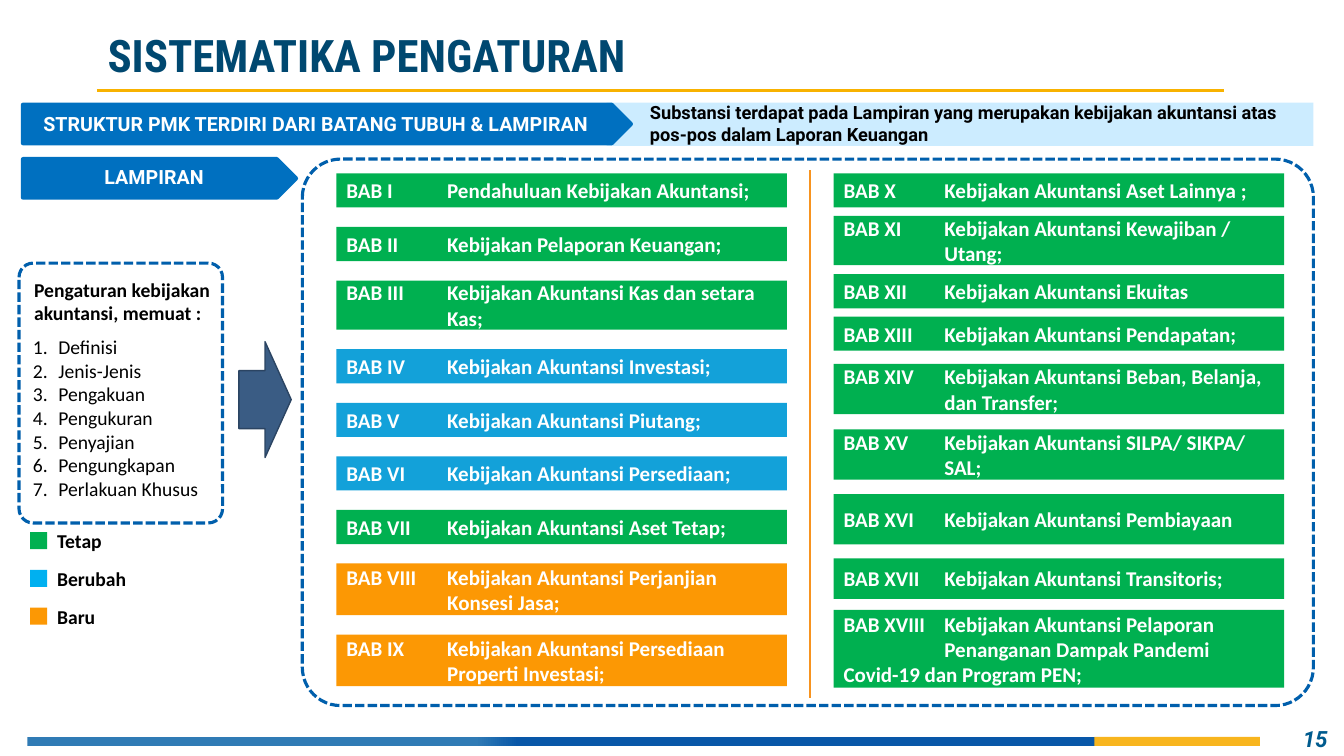
"""Build the slide on how the regulation is set out."""
from dataclasses import dataclass, replace

from lxml.etree import SubElement
from pptx import Presentation
from pptx.dml.color import RGBColor
from pptx.enum.dml import MSO_LINE
from pptx.enum.shapes import MSO_CONNECTOR, MSO_SHAPE
from pptx.enum.text import MSO_ANCHOR, MSO_AUTO_SIZE, PP_ALIGN
from pptx.oxml.ns import qn
from pptx.shapes.autoshape import Shape
from pptx.slide import Slide
from pptx.text.text import TextFrame
from pptx.util import Cm, Pt

HUES = {
    "green": "00B050", "blue": "13A1D9", "orange": "FC9804", "sky": "00B0F0",
    "white": "FFFFFF", "black": "000000", "title": "004870", "number": "005B8E",
    "pale": "CCECFF", "banner": "0070C0", "dash": "005FAC", "rule": "F8B200",
    "split": "F7931F", "arrow": "3A5C84", "edge": "2B4462",
    "start": "307BB5", "end": "0857A8", "gold": "F8B51E",
}


@dataclass(frozen=True)
class Box:
    """Place and size in centimetres."""
    left: float
    top: float
    width: float
    height: float


@dataclass(frozen=True)
class Style:
    """Look of a text."""
    size: float
    font: str = "Calibri"
    hue: str = "black"
    bold: bool = True
    slant: bool = False
    align: PP_ALIGN = PP_ALIGN.LEFT


@dataclass(frozen=True)
class Bar:
    """One chapter, with its height and the gap above it."""
    text: str
    height: float = 0.86
    gap: float = 0.49
    hue: str = "green"


@dataclass(frozen=True)
class Banner:
    """A pointed heading and the box of its text."""
    box: Box
    text: str
    label: Box


@dataclass(frozen=True)
class Rule:
    """A straight line in centimetres."""
    left: float
    top: float
    right: float
    bottom: float
    hue: str
    weight: float


CHAPTER = Style(15, hue="white")
LABEL = Style(14)
HEADING = Style(14, "Roboto", "white", align=PP_ALIGN.CENTER)
TOP = 4.37
BAR_WIDTH = 11.35
COLUMNS = {
    8.48: [
        Bar("BAB I\tPendahuluan Kebijakan Akuntansi;", gap=0),
        Bar("BAB II\tKebijakan Pelaporan Keuangan;"),
        Bar("BAB III\tKebijakan Akuntansi Kas dan setara\n\tKas;", 1.24),
        Bar("BAB IV\tKebijakan Akuntansi Investasi;", hue="blue"),
        Bar("BAB V\tKebijakan Akuntansi Piutang;", hue="blue"),
        Bar("BAB VI\tKebijakan Akuntansi Persediaan;", hue="blue"),
        Bar("BAB VII\tKebijakan Akuntansi Aset Tetap;"),
        Bar("BAB VIII\tKebijakan Akuntansi Perjanjian\n\tKonsesi Jasa;", 1.3, hue="orange"),
        Bar("BAB IX\tKebijakan Akuntansi Persediaan\n\tProperti Investasi;", 1.3, hue="orange"),
    ],
    21.01: [
        Bar("BAB X\tKebijakan Akuntansi Aset Lainnya ;", gap=0),
        Bar("BAB XI\tKebijakan Akuntansi Kewajiban /\n\tUtang;", 1.24, 0.21),
        Bar("BAB XII\tKebijakan Akuntansi Ekuitas", gap=0.23),
        Bar("BAB XIII\tKebijakan Akuntansi Pendapatan;", gap=0.21),
        Bar("BAB XIV\tKebijakan Akuntansi Beban, Belanja,\n\tdan Transfer;", 1.27, 0.33),
        Bar("BAB XV\tKebijakan Akuntansi SILPA/ SIKPA/\n\tSAL;", 1.27, 0.38),
        Bar("BAB XVI\tKebijakan Akuntansi Pembiayaan", 1.27, 0.36),
        Bar("BAB XVII\tKebijakan Akuntansi Transitoris;", 1.02, 0.35),
        Bar("BAB XVIII\tKebijakan Akuntansi Pelaporan\n"
            "\tPenanganan Dampak Pandemi \tCovid-19 dan Program PEN;", 1.96, 0.28),
    ],
}
KEYS = {"Tetap": "green", "Berubah": "sky", "Baru": "orange"}
TOPICS = ["Definisi", "Jenis-Jenis", "Pengakuan", "Pengukuran", "Penyajian",
          "Pengungkapan", "Perlakuan Khusus"]
FRAMES = [Box(0.48, 6.63, 5.13, 6.55), Box(7.62, 4.01, 25.48, 13.77)]
BANNERS = [
    Banner(Box(0.58, 2.64, 15.32, 0.97), "STRUKTUR PMK TERDIRI DARI BATANG TUBUH & LAMPIRAN",
           Box(0.76, 2.67, 14.4, 0.89)),
    Banner(Box(0.58, 4.01, 6.88, 0.97), "LAMPIRAN", Box(0.66, 4.01, 6.45, 0.89)),
]


def paint(hue: str) -> RGBColor:
    """Return the named colour."""
    return RGBColor.from_string(HUES[hue])


def place(box: Box) -> tuple[Cm, Cm, Cm, Cm]:
    """Return the box as lengths."""
    return Cm(box.left), Cm(box.top), Cm(box.width), Cm(box.height)


def write(frame: TextFrame, text: str, style: Style,
          anchor: MSO_ANCHOR = MSO_ANCHOR.MIDDLE, inset: float = 0.25) -> None:
    """Fill a text frame and format its runs."""
    frame.text = text
    frame.word_wrap = True
    frame.auto_size = MSO_AUTO_SIZE.NONE
    frame.vertical_anchor = anchor
    frame.margin_left = frame.margin_right = Cm(0.25)
    frame.margin_top = frame.margin_bottom = Cm(inset)
    for para in frame.paragraphs:
        para.alignment = style.align
        for run in para.runs:
            font = run.font
            font.size, font.name = Pt(style.size), style.font
            font.bold, font.italic = style.bold, style.slant
            font.color.rgb = paint(style.hue)


def note(slide: Slide, box: Box, text: str, style: Style, **kind) -> TextFrame:
    """Add a text box."""
    frame = slide.shapes.add_textbox(*place(box)).text_frame
    write(frame, text, style, **kind)
    return frame


def block(slide: Slide, box: Box, fill: str = "", edge: str = "", weight: float = 0,
          kind: MSO_SHAPE = MSO_SHAPE.RECTANGLE) -> Shape:
    """Add a preset shape with the given fill and edge."""
    shape = slide.shapes.add_shape(kind, *place(box))
    shape.shadow.inherit = False
    if fill:
        shape.fill.solid()
        shape.fill.fore_color.rgb = paint(fill)
    else:
        shape.fill.background()
    if edge:
        shape.line.color.rgb = paint(edge)
        shape.line.width = Pt(weight)
    else:
        shape.line.fill.background()
    return shape


def draw(slide: Slide, rule: Rule) -> None:
    """Add a straight line."""
    line = slide.shapes.add_connector(MSO_CONNECTOR.STRAIGHT, Cm(rule.left), Cm(rule.top),
                                      Cm(rule.right), Cm(rule.bottom))
    line.line.color.rgb = paint(rule.hue)
    line.line.width = Pt(rule.weight)
    SubElement(line._element.spPr, qn("a:effectLst"))


def stack(slide: Slide, left: float, bars: list[Bar]) -> None:
    """Stack a column of chapters."""
    top = TOP
    for bar in bars:
        top += bar.gap
        shape = block(slide, Box(left, top, BAR_WIDTH, bar.height), bar.hue)
        write(shape.text_frame, bar.text, CHAPTER)
        for para in shape.text_frame.paragraphs:
            tabs = SubElement(para._p.get_or_add_pPr(), qn("a:tabLst"))
            for step in range(1, 5):
                SubElement(tabs, qn("a:tab"), pos=str(Cm(2.54 * step)), algn="l")
        top += bar.height


def count(frame: TextFrame) -> None:
    """Number the paragraphs of a frame."""
    for para in frame.paragraphs:
        props = para._p.get_or_add_pPr()
        props.set("marL", str(Cm(0.64)))
        props.set("indent", str(-Cm(0.64)))
        SubElement(props, qn("a:buFont"), typeface="+mj-lt")
        SubElement(props, qn("a:buAutoNum"), type="arabicPeriod")


def main() -> None:
    """Draw the slide and save it."""
    deck = Presentation()
    deck.slide_width, deck.slide_height = Cm(33.87), Cm(19.05)
    slide = deck.slides.add_slide(deck.slide_layouts[5])

    title = slide.shapes.title
    title.left, title.top, title.width, title.height = place(Box(2.46, 0.71, 29.21, 2.13))
    write(title.text_frame, "SISTEMATIKA PENGATURAN", Style(32, "Roboto Condensed", "title"),
          MSO_ANCHOR.TOP, 0.13)
    title.text_frame.paragraphs[0].line_spacing = 0.9

    strip = block(slide, Box(0.69, 18.57, 26.9, 0.23), "start")
    strip.fill.gradient()
    strip.fill.gradient_angle = 0
    for stop, hue, spot in zip(strip.fill.gradient_stops, ("start", "end"), (0.42, 0.46)):
        stop.color.rgb, stop.position = paint(hue), spot
    block(slide, Box(27.58, 18.57, 4.17, 0.23), "gold")
    draw(slide, Rule(2.44, 2.29, 30.84, 2.29, "rule", 2.25))
    block(slide, Box(15.29, 2.59, 17.81, 1.09), "pale")

    for left, bars in COLUMNS.items():
        stack(slide, left, bars)
    for row, (text, hue) in enumerate(KEYS.items()):
        top = 13.18 + 0.95 * row
        note(slide, Box(1.19, top, 3.4, 0.91), text, LABEL)
        block(slide, Box(0.76, top + 0.23, 0.43, 0.43), hue)
    draw(slide, Rule(20.42, 4.29, 20.42, 17.6, "split", 1.5))

    note(slide, Box(0.61, 7.16, 5.44, 0.86), "Pengaturan kebijakan akuntansi, memuat :", LABEL)
    count(note(slide, Box(0.58, 8.2, 4.93, 1.52), "\n".join(TOPICS),
               replace(LABEL, bold=False), anchor=MSO_ANCHOR.TOP))
    for box in FRAMES:
        frame = block(slide, box, edge="dash", weight=2.25, kind=MSO_SHAPE.ROUNDED_RECTANGLE)
        frame.adjustments[0] = 0.07
        frame.line.dash_style = MSO_LINE.SQUARE_DOT
    block(slide, Box(6.02, 8.61, 1.32, 2.92), "arrow", "edge", 1, MSO_SHAPE.RIGHT_ARROW)

    note(slide, Box(16.13, 2.62, 16.99, 0.97),
         "Substansi terdapat pada Lampiran yang merupakan kebijakan akuntansi atas "
         "pos-pos dalam Laporan Keuangan", Style(13, "Roboto"))
    for item in BANNERS:
        block(slide, item.box, "banner", "banner", 3, MSO_SHAPE.PENTAGON)
        note(slide, item.label, item.text, HEADING)
    note(slide, Box(32.26, 18.29, 1.45, 0.64), "15",
         Style(16, "Roboto", "number", slant=True, align=PP_ALIGN.RIGHT), inset=0.13)
    deck.save("out.pptx")


if __name__ == "__main__":
    main()
